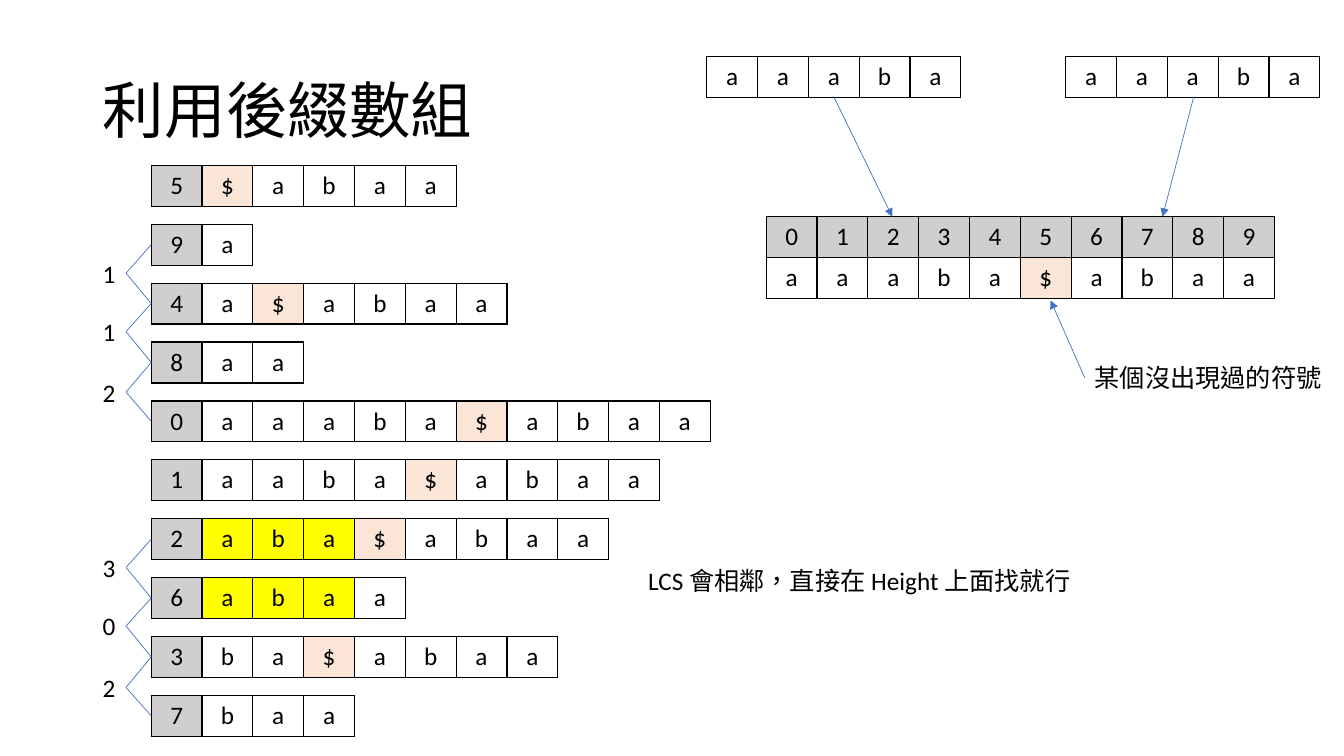
"""Build a slide on finding a longest common substring with a suffix array."""
from dataclasses import dataclass
from typing import Optional

from lxml import etree
from pptx import Presentation
from pptx import util as u
from pptx.dml.color import RGBColor
from pptx.enum import lang, shapes, text
from pptx.oxml import ns

BLACK = RGBColor(0x00, 0x00, 0x00)
BLUE = RGBColor(0x44, 0x72, 0xC4)
GREY = RGBColor(0xD0, 0xCE, 0xCE)
PEACH = RGBColor(0xFB, 0xE5, 0xD6)
YELLOW = RGBColor(0xFF, 0xFF, 0x00)

FONT = "Calibri"
WORD = "aaaba"
JOINED = "aaaba$abaa"
SUFFIX_ORDER = (5, 9, 4, 8, 0, 1, 2, 6, 3, 7)
MATCH_STARTS = (2, 6)
MATCH_LENGTH = 3

CELL_WIDTH = 5.04 / 10
CELL_HEIGHT = 0.405
SUFFIX_LEFT = 1.5
SUFFIX_TOP = 1.64
SUFFIX_PITCH = (6.9 - SUFFIX_TOP) / (len(SUFFIX_ORDER) - 1)
HEIGHT_LEFT = 0.92
HEIGHT_TIP = 1.25


@dataclass
class Cell:
    label: str
    fill: Optional[RGBColor] = None


@dataclass
class Segment:
    start: tuple[float, float]
    end: tuple[float, float]
    arrow: bool = False


@dataclass
class Height:
    value: int
    upper_row: int
    middle: float


@dataclass
class Label:
    content: str
    left: float
    top: float
    width: float
    wrap: bool = False


HEIGHTS = (
    Height(1, 1, 2.71),
    Height(1, 2, 3.29),
    Height(2, 3, 3.89),
    Height(3, 6, 5.63),
    Height(0, 7, 6.21),
    Height(2, 8, 6.82),
)
ARROWS = (
    Segment((8.27, 0.96), (8.85, 2.15), arrow=True),
    Segment((11.84, 0.96), (11.53, 2.15), arrow=True),
    Segment((10.76, 3.75), (10.42, 2.98), arrow=True),
)
NOTES = (
    Label("某個沒出現過的符號", 10.76, 3.55, 2.47),
    Label("LCS 會相鄰，直接在 Height 上面找就行", 6.33, 5.56, 4.44, wrap=True),
)


def write(frame, content: str, *, size: float = 18, align=text.PP_ALIGN.LEFT,
          anchor=text.MSO_ANCHOR.TOP, spacing: float = 1.0, wrap: bool = True) -> None:
    frame.word_wrap = wrap
    frame.vertical_anchor = anchor
    para = frame.paragraphs[0]
    para.alignment = align
    para.line_spacing = spacing
    span = para.add_run()
    span.text = content
    span.font.name = FONT
    span.font.size = u.Pt(size)
    span.font.bold = False
    span.font.color.rgb = BLACK
    span.font.language_id = lang.MSO_LANGUAGE_ID.TRADITIONAL_CHINESE


def add_label(page, label: Label) -> None:
    box = page.shapes.add_textbox(u.Inches(label.left), u.Inches(label.top),
                                  u.Inches(label.width), u.Inches(0.4))
    write(box.text_frame, label.content, wrap=label.wrap)


def add_segment(page, segment: Segment) -> None:
    ends = [u.Inches(value) for value in segment.start + segment.end]
    line = page.shapes.add_connector(shapes.MSO_CONNECTOR.STRAIGHT, *ends)
    line.line.color.rgb = BLUE
    line.line.width = u.Pt(0.5)
    if segment.arrow:
        outline = line.line._get_or_add_ln()
        etree.SubElement(outline, ns.qn("a:tailEnd"), type="triangle")
    etree.SubElement(line._element.spPr, ns.qn("a:effectLst"))


def add_borders(cell) -> None:
    properties = cell._tc.get_or_add_tcPr()
    for side in ("L", "R", "T", "B"):
        border = etree.SubElement(properties, ns.qn(f"a:ln{side}"), w=str(u.Pt(1)))
        paint = etree.SubElement(border, ns.qn("a:solidFill"))
        etree.SubElement(paint, ns.qn("a:srgbClr"), val=str(BLACK))


def add_grid(page, left: float, top: float, rows: list[list[Cell]]) -> None:
    columns = len(rows[0])
    table = page.shapes.add_table(
        len(rows), columns, u.Inches(left), u.Inches(top),
        u.Inches(columns * CELL_WIDTH), u.Inches(len(rows) * CELL_HEIGHT)).table
    table.first_row = False
    table.horz_banding = False
    for column in table.columns:
        column.width = u.Inches(CELL_WIDTH)
    for row_index, row in enumerate(rows):
        table.rows[row_index].height = u.Inches(CELL_HEIGHT)
        for column_index, item in enumerate(row):
            cell = table.cell(row_index, column_index)
            add_borders(cell)
            if item.fill is None:
                cell.fill.background()
            else:
                cell.fill.solid()
                cell.fill.fore_color.rgb = item.fill
            write(cell.text_frame, item.label, align=text.PP_ALIGN.CENTER)
            cell.vertical_anchor = text.MSO_ANCHOR.MIDDLE


def letter_cells(letters: str, matched: int = 0) -> list[Cell]:
    cells = []
    for index, letter in enumerate(letters):
        fill = YELLOW if index < matched else PEACH if letter == "$" else None
        cells.append(Cell(letter, fill))
    return cells


def add_suffixes(page) -> None:
    for row, start in enumerate(SUFFIX_ORDER):
        matched = MATCH_LENGTH if start in MATCH_STARTS else 0
        cells = [Cell(str(start), GREY)] + letter_cells(JOINED[start:], matched)
        add_grid(page, SUFFIX_LEFT, SUFFIX_TOP + row * SUFFIX_PITCH, [cells])


def add_height(page, height: Height) -> None:
    add_label(page, Label(str(height.value), HEIGHT_LEFT, height.middle - 0.2, 0.33))
    for row in (height.upper_row, height.upper_row + 1):
        row_middle = SUFFIX_TOP + row * SUFFIX_PITCH + CELL_HEIGHT / 2
        add_segment(page, Segment((HEIGHT_TIP, height.middle), (SUFFIX_LEFT, row_middle)))


def main() -> None:
    deck = Presentation()
    deck.slide_width = u.Inches(13.33)
    deck.slide_height = u.Inches(7.5)
    page = deck.slides.add_slide(deck.slide_layouts[5])
    title = page.shapes.title
    title.left, title.top = u.Inches(0.92), u.Inches(0.4)
    title.width, title.height = u.Inches(11.5), u.Inches(1.45)
    title.text_frame.auto_size = text.MSO_AUTO_SIZE.NONE
    write(title.text_frame, "利用後綴數組", size=44,
          anchor=text.MSO_ANCHOR.MIDDLE, spacing=0.9)

    for left in (7.01, 10.57):
        add_grid(page, left, 0.56, [letter_cells(WORD)])
    indices = [Cell(str(index), GREY) for index in range(len(JOINED))]
    add_grid(page, 7.6, 2.15, [indices, letter_cells(JOINED)])
    add_suffixes(page)
    for height in HEIGHTS:
        add_height(page, height)
    for arrow in ARROWS:
        add_segment(page, arrow)
    for note in NOTES:
        add_label(page, note)
    deck.save("out.pptx")


if __name__ == "__main__":
    main()
